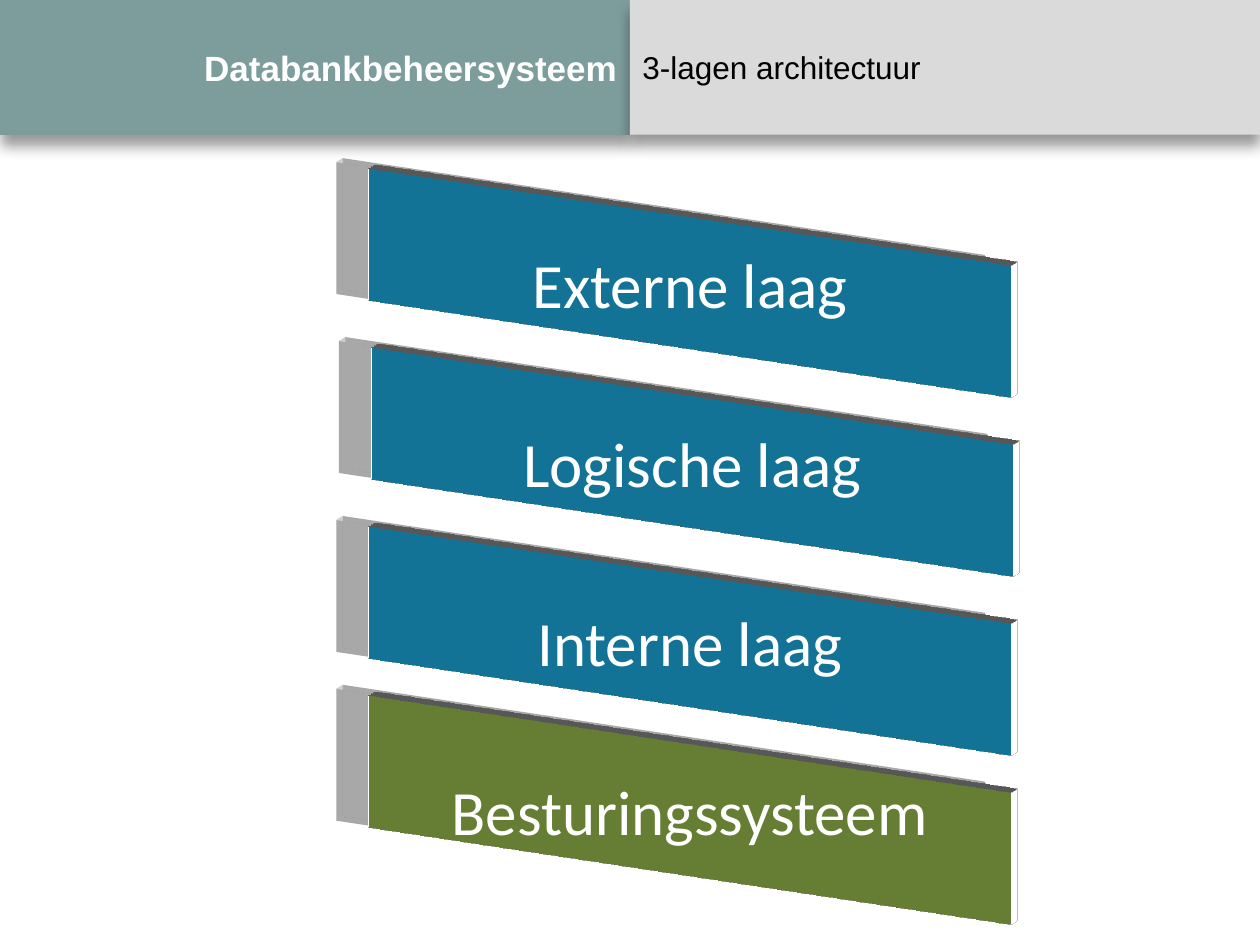
from dataclasses import dataclass

from lxml import etree
from pptx import Presentation
from pptx.dml.color import RGBColor
from pptx.enum.shapes import MSO_SHAPE
from pptx.enum.text import MSO_ANCHOR, PP_ALIGN
from pptx.oxml import parse_xml
from pptx.oxml.ns import nsdecls, qn
from pptx.shapes.autoshape import Shape
from pptx.util import Inches, Pt

RECTANGLE = MSO_SHAPE.RECTANGLE
MIDDLE = MSO_ANCHOR.MIDDLE
LEFT, CENTER, RIGHT = PP_ALIGN.LEFT, PP_ALIGN.CENTER, PP_ALIGN.RIGHT

WHITE = RGBColor(0xFF, 0xFF, 0xFF)
BLACK = RGBColor(0x00, 0x00, 0x00)
SAGE = RGBColor(0x7D, 0x9D, 0x9D)
LIGHT_GREY = RGBColor(0xDA, 0xDA, 0xDA)
EDGE_GREY = RGBColor(0xD9, 0xD9, 0xD9)
BLUE = RGBColor(0x16, 0x87, 0xAF)
GREEN = RGBColor(0x77, 0x93, 0x3C)

SLIDE_WIDTH, SLIDE_HEIGHT = Inches(10), Inches(7.5)
HEADER_WIDTH, HEADER_HEIGHT = SLIDE_WIDTH // 2, Inches(1.07)
LAYER_LEFT, LAYER_TOP = Inches(2.64), Inches(1.7)
LAYER_WIDTH, LAYER_HEIGHT = Inches(5.67), Inches(1.1)
LAYER_PITCH = Inches(1.42)


@dataclass(frozen=True)
class TextStyle:
    font: str
    size: float
    color: RGBColor
    alignment: PP_ALIGN
    bold: bool = False


@dataclass(frozen=True)
class Shadow:
    opacity: int  # percent
    blur: float  # points
    distance: float  # points
    angle: int  # degrees


@dataclass(frozen=True)
class Layer:
    text: str
    fill: RGBColor = BLUE
    shift_right: float = 0  # inches
    shift_down: float = 0  # inches


TITLE_STYLE = TextStyle("Arial", 20, WHITE, RIGHT, bold=True)
SUBTITLE_STYLE = TextStyle("Arial", 18, BLACK, LEFT)
LAYER_STYLE = TextStyle("Calibri", 36, WHITE, CENTER)
HEADER_SHADOW = Shadow(40, 8, 6, 90)
LAYER_SHADOW = Shadow(18, 14.5, 19, 192)

LAYERS = [
    Layer("Externe laag"),
    Layer("Logische laag", shift_right=0.02),
    Layer("Interne laag"),
    Layer("Besturingssysteem", GREEN, shift_down=-0.08),
]


def set_text(shape: Shape, text: str, style: TextStyle) -> None:
    frame = shape.text_frame
    frame.text = text
    frame.word_wrap = True
    frame.vertical_anchor = MIDDLE
    paragraph = frame.paragraphs[0]
    paragraph.alignment = style.alignment
    font = paragraph.runs[0].font
    font.name, font.size, font.bold = style.font, Pt(style.size), style.bold
    font.color.rgb = style.color


def set_surface(shape: Shape, fill: RGBColor, shadow: Shadow) -> None:
    shape.fill.solid()
    shape.fill.fore_color.rgb = fill
    shape.shadow.inherit = False
    effects = shape._element.spPr.find(qn("a:effectLst"))
    outer = etree.SubElement(
        effects, qn("a:outerShdw"), blurRad=str(Pt(shadow.blur)),
        dist=str(Pt(shadow.distance)), dir=str(shadow.angle * 60000),
        algn="ctr", rotWithShape="0")
    color = etree.SubElement(outer, qn("a:srgbClr"), val=str(BLACK))
    etree.SubElement(color, qn("a:alpha"), val=str(shadow.opacity * 1000))


def add_depth(shape: Shape) -> None:
    """Turn the shape into a thin slab seen from an angle."""
    properties = shape._element.spPr
    properties.append(parse_xml(
        f'<a:scene3d {nsdecls("a")}><a:camera prst="isometricOffAxis2Left"/>'
        '<a:lightRig rig="flood" dir="t"><a:rot lat="0" lon="0" rev="13800000"/>'
        '</a:lightRig></a:scene3d>'))
    properties.append(parse_xml(
        f'<a:sp3d {nsdecls("a")} extrusionH="{Pt(8.5)}" prstMaterial="plastic"/>'))


def add_layer(slide, row: int, layer: Layer) -> None:
    left = LAYER_LEFT + Inches(layer.shift_right)
    top = LAYER_TOP + row * LAYER_PITCH + Inches(layer.shift_down)
    slab = slide.shapes.add_shape(RECTANGLE, left, top, LAYER_WIDTH, LAYER_HEIGHT)
    slab.line.color.rgb = EDGE_GREY
    slab.line.width = Pt(2)
    set_surface(slab, layer.fill, LAYER_SHADOW)
    add_depth(slab)
    set_text(slab, layer.text, LAYER_STYLE)


def main() -> None:
    presentation = Presentation()
    presentation.slide_width, presentation.slide_height = SLIDE_WIDTH, SLIDE_HEIGHT
    slide = presentation.slides.add_slide(presentation.slide_layouts.get_by_name("Title Only"))

    # Header: title on the left half, subject on the right half
    title = slide.shapes.title
    title.left, title.top = 0, 0
    title.width, title.height = HEADER_WIDTH, HEADER_HEIGHT
    set_surface(title, SAGE, HEADER_SHADOW)
    set_text(title, "Databankbeheersysteem", TITLE_STYLE)

    subject = slide.shapes.add_shape(RECTANGLE, HEADER_WIDTH, 0, HEADER_WIDTH, HEADER_HEIGHT)
    subject.line.fill.background()
    set_surface(subject, LIGHT_GREY, HEADER_SHADOW)
    set_text(subject, "3-lagen architectuur", SUBTITLE_STYLE)

    # Stack of architecture layers
    for row, layer in enumerate(LAYERS):
        add_layer(slide, row, layer)

    presentation.save("out.pptx")


if __name__ == "__main__":
    main()
